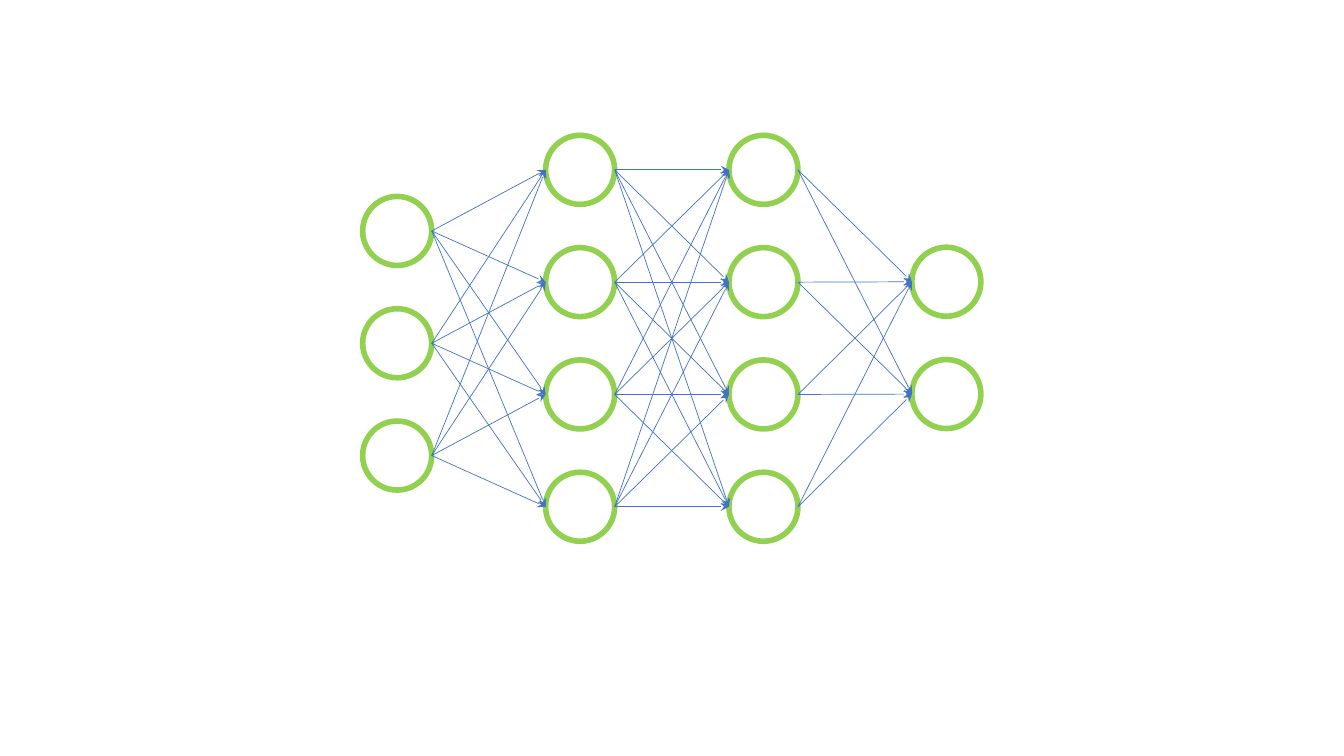
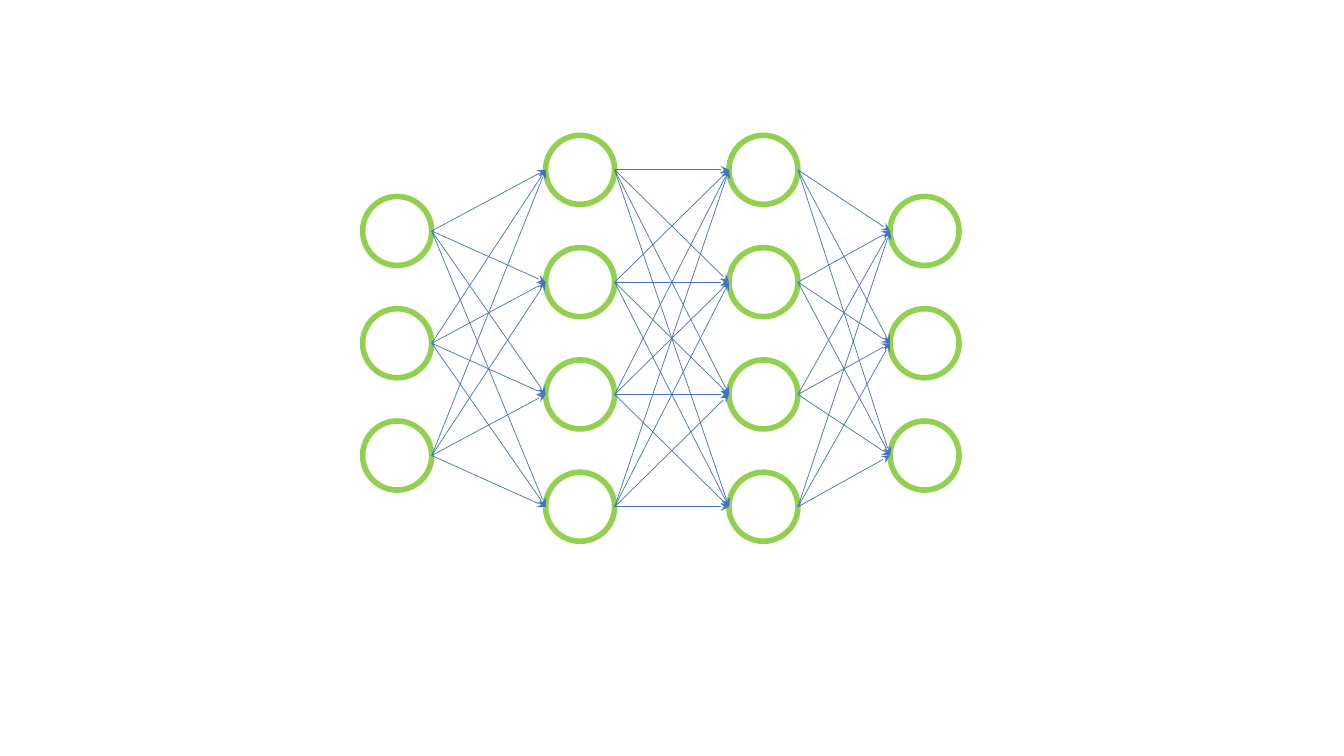
from dataclasses import dataclass
from itertools import pairwise, product
from typing import Any

from lxml import etree
from pptx import Presentation
from pptx.dml.color import RGBColor
from pptx.enum import shapes
from pptx.oxml import ns
from pptx.util import Cm, Pt


@dataclass(frozen=True)
class Theme:
    neuron_colour: RGBColor = RGBColor(0x92, 0xD0, 0x50)
    synapse_colour: RGBColor = RGBColor(0x44, 0x72, 0xC4)
    neuron_line: float = 4
    synapse_line: float = 0.5
    diameter: float = 1.74
    pitch: float = 2.83


THEME = Theme()


@dataclass(frozen=True)
class Layer:
    left: float
    top: float
    count: int

    @property
    def right(self) -> float:
        return self.left + THEME.diameter

    @property
    def tops(self) -> list[float]:
        return [self.top + index * THEME.pitch for index in range(self.count)]

    @property
    def centres(self) -> list[float]:
        return [top + THEME.diameter / 2 for top in self.tops]


@dataclass(frozen=True)
class Network:
    layers: tuple[Layer, ...]
    grouped: bool


INPUT = Layer(9.14, 4.95, 3)
HIDDEN = (Layer(13.75, 3.41, 4), Layer(18.37, 3.41, 4))
NETWORKS = (
    Network((INPUT, *HIDDEN, Layer(22.98, 6.23, 2)), grouped=False),
    Network((INPUT, *HIDDEN, Layer(22.43, 4.95, 3)), grouped=True),
)


def draw_layer(canvas: Any, layer: Layer) -> None:
    for top in layer.tops:
        neuron = canvas.add_shape(
            shapes.MSO_SHAPE.OVAL,
            Cm(layer.left), Cm(top), Cm(THEME.diameter), Cm(THEME.diameter),
        )
        neuron.shadow.inherit = False
        neuron.fill.background()
        neuron.line.color.rgb = THEME.neuron_colour
        neuron.line.width = Pt(THEME.neuron_line)


def draw_synapses(canvas: Any, source: Layer, target: Layer) -> None:
    for start, end in product(source.centres, target.centres):
        synapse = canvas.add_connector(
            shapes.MSO_CONNECTOR.STRAIGHT,
            Cm(source.right), Cm(start), Cm(target.left), Cm(end),
        )
        synapse.line.color.rgb = THEME.synapse_colour
        synapse.line.width = Pt(THEME.synapse_line)
        line = synapse.line._get_or_add_ln()
        etree.SubElement(line, ns.qn("a:tailEnd"), type="stealth")
        etree.SubElement(synapse._element.spPr, ns.qn("a:effectLst"))


def draw_network(slide: Any, network: Network) -> None:
    canvas = slide.shapes.add_group_shape().shapes if network.grouped else slide.shapes
    for layer in network.layers:
        draw_layer(canvas, layer)
    for source, target in pairwise(network.layers):
        draw_synapses(canvas, source, target)


def main() -> None:
    presentation = Presentation()
    presentation.slide_width = Cm(33.87)
    presentation.slide_height = Cm(19.05)
    blank_layout = presentation.slide_layouts[6]
    for network in NETWORKS:
        draw_network(presentation.slides.add_slide(blank_layout), network)
    presentation.save("out.pptx")


main()
